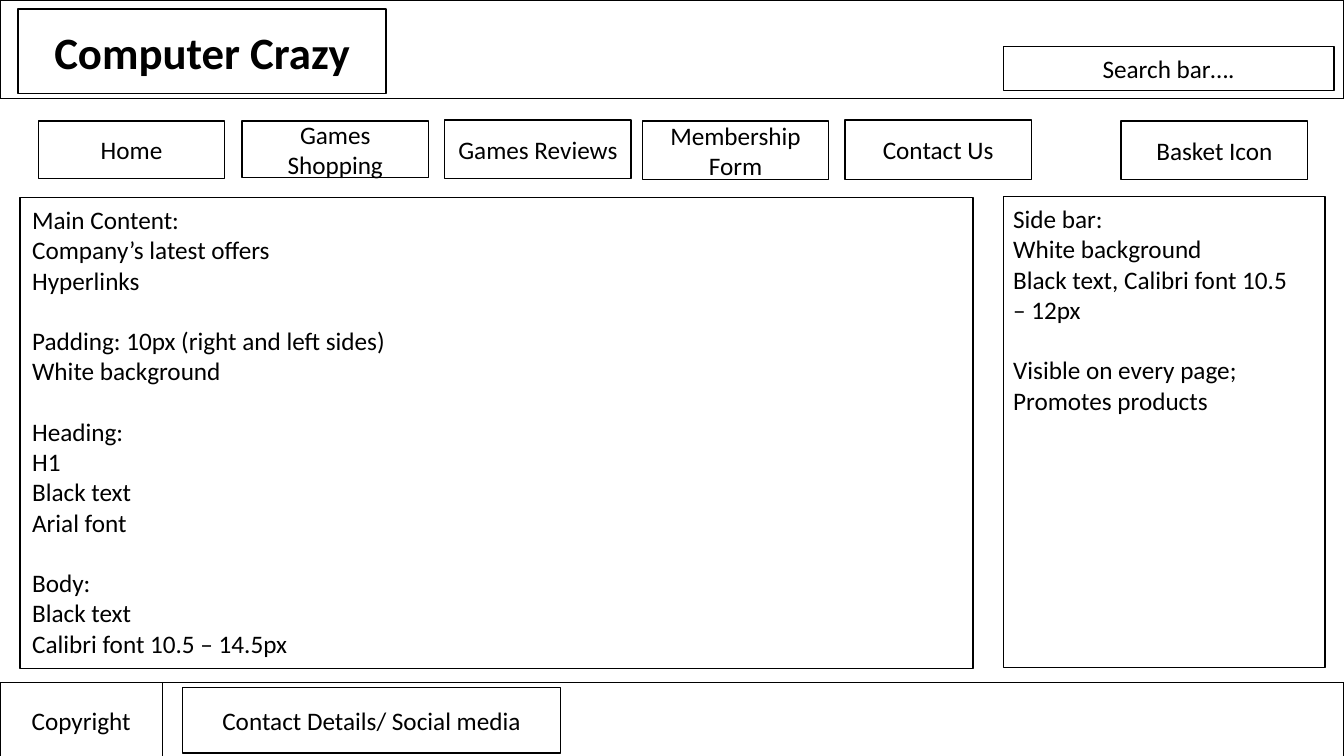
"""Build the wireframe slide for the Computer Crazy home page."""
from dataclasses import dataclass

from pptx import Presentation
from pptx.dml.color import RGBColor
from pptx.enum.shapes import MSO_SHAPE
from pptx.enum.text import MSO_ANCHOR, PP_ALIGN
from pptx.util import Inches, Pt

RECTANGLE = MSO_SHAPE.RECTANGLE
MIDDLE = MSO_ANCHOR.MIDDLE
CENTER = PP_ALIGN.CENTER


@dataclass(frozen=True)
class Theme:
    """Colours, font and sizes of the wireframe."""
    ink: RGBColor = RGBColor(0, 0, 0)
    font: str = "Calibri"
    title: float = 32
    body: float = 18
    group_gap: float = 21.6
    border: float = 1


class Wireframe:
    """Draws page regions on one slide in one style."""

    def __init__(self, slide, theme):
        self.slide = slide
        self.theme = theme

    def style(self, paragraph, size, bold=False):
        """Format every run of a paragraph."""
        for run in paragraph.runs:
            run.font.name = self.theme.font
            run.font.size = Pt(size)
            run.font.bold = bold
            run.font.color.rgb = self.theme.ink

    def region(self, left, top, width, height, label="", size=None, bold=False):
        """Add an outlined box with an optional centred label."""
        box = self.slide.shapes.add_shape(
            RECTANGLE, Inches(left), Inches(top), Inches(width), Inches(height))
        box.shadow.inherit = False
        box.fill.background()
        box.line.color.rgb = self.theme.ink
        box.line.width = Pt(self.theme.border)
        if label:
            frame = box.text_frame
            frame.text = label
            frame.word_wrap = True
            frame.vertical_anchor = MIDDLE
            frame.paragraphs[0].alignment = CENTER
            self.style(frame.paragraphs[0], size or self.theme.body, bold)

    def notes(self, left, top, width, height, groups):
        """Add groups of lines, set apart by paragraph spacing."""
        frame = self.slide.shapes.add_textbox(
            Inches(left), Inches(top), Inches(width), Inches(height)).text_frame
        frame.word_wrap = True
        frame.text = "\n".join(line for group in groups for line in group)
        paragraphs = iter(frame.paragraphs)
        for group_index, group in enumerate(groups):
            for line_index in range(len(group)):
                paragraph = next(paragraphs)
                self.style(paragraph, self.theme.body)
                if group_index and not line_index:
                    paragraph.space_before = Pt(self.theme.group_gap)


SLIDE_WIDTH, SLIDE_HEIGHT = 13.33, 7.5
SIDE_LEFT = 9.95
FOOTER_TOP, FOOTER_HEIGHT = 6.77, 0.76
NAV_WIDTH = 1.85
NAVIGATION = [
    ("Home", 0.38, 1.2, 0.57),
    ("Games Shopping", 2.4, 1.2, 0.56),
    ("Games Reviews", 4.41, 1.19, 0.58),
    ("Membership Form", 6.37, 1.2, 0.58),
    ("Contact Us", 8.38, 1.19, 0.59),
    ("Basket Icon", 11.12, 1.2, 0.58),
]
MAIN_CONTENT = [
    ["Main Content:", "Company’s latest offers", "Hyperlinks"],
    ["Padding: 10px (right and left sides)", "White background"],
    ["Heading:", "H1", "Black text", "Arial font"],
    ["Body:", "Black text", "Calibri font 10.5 – 14.5px"],
]
SIDE_BAR = [
    ["Side bar:", "White background", "Black text, Calibri font 10.5 – 12px"],
    ["Visible on every page;", "Promotes products"],
]

deck = Presentation()
deck.slide_width = Inches(SLIDE_WIDTH)
deck.slide_height = Inches(SLIDE_HEIGHT)
theme = Theme()
page = Wireframe(deck.slides.add_slide(deck.slide_layouts[6]), theme)

page.region(0, 0, SLIDE_WIDTH, 0.98)
page.region(0.18, 0.09, 3.65, 0.84, "Computer Crazy", theme.title, bold=True)
page.region(SIDE_LEFT, 0.46, 3.28, 0.44, "Search bar….")

for label, left, top, height in NAVIGATION:
    page.region(left, top, NAV_WIDTH, height, label)

page.region(0.2, 1.96, 9.45, 4.67)
page.notes(0.22, 1.98, 4.41, 4.64, MAIN_CONTENT)
page.region(SIDE_LEFT, 1.95, 3.19, 4.67)
page.notes(SIDE_LEFT, 1.97, 3.09, 2.22, SIDE_BAR)

page.region(0, FOOTER_TOP, SLIDE_WIDTH, FOOTER_HEIGHT)
page.region(0, FOOTER_TOP, 1.61, FOOTER_HEIGHT, "Copyright")
page.region(1.81, 6.82, 3.75, 0.65, "Contact Details/ Social media")

deck.save("out.pptx")
